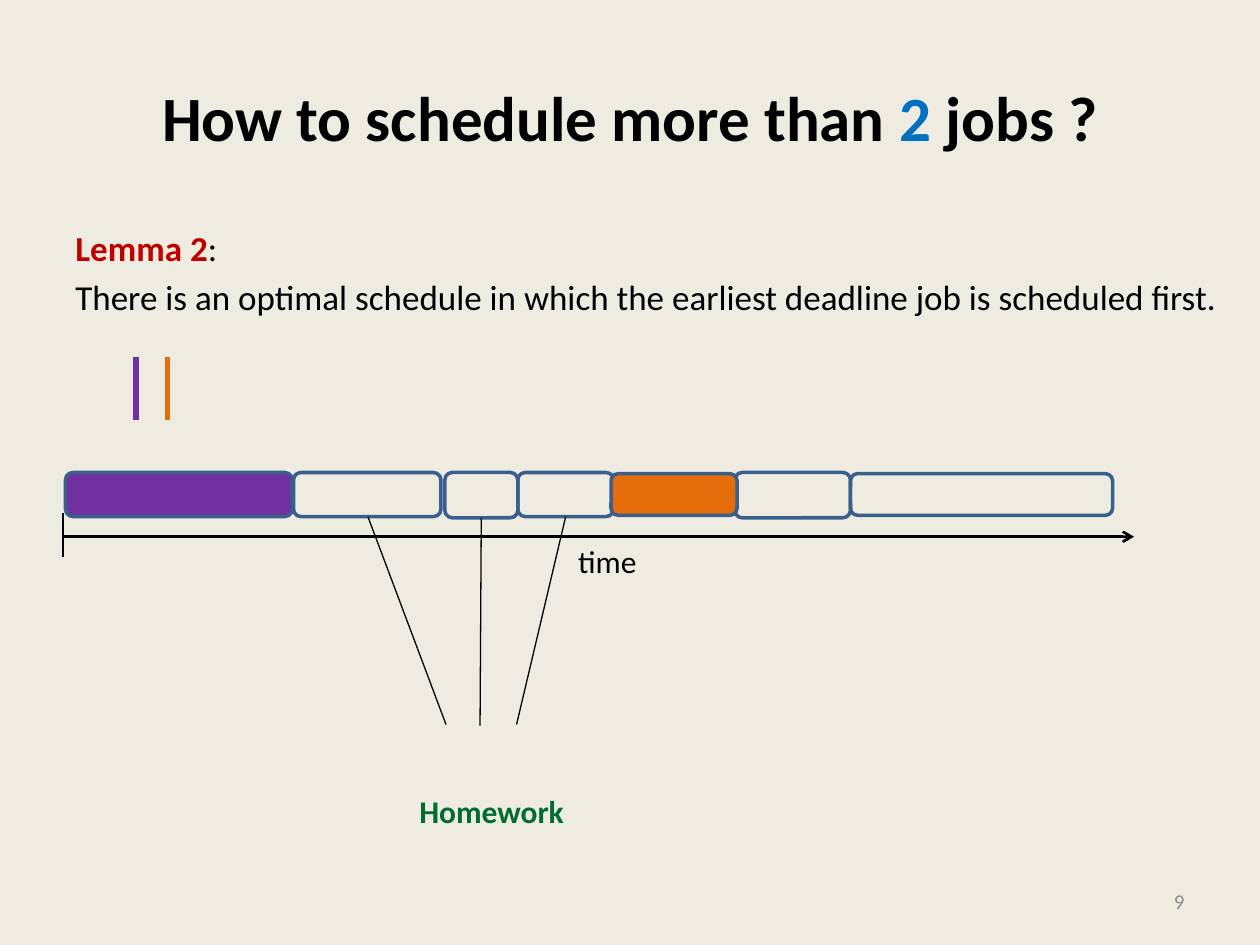
from lxml.etree import SubElement
from pptx import Presentation
from pptx.dml.color import RGBColor
from pptx.enum.shapes import MSO_CONNECTOR, MSO_SHAPE
from pptx.enum.text import MSO_ANCHOR, PP_ALIGN
from pptx.oxml.ns import qn
from pptx.util import Inches, Pt

BACKGROUND = RGBColor(0xEE, 0xEC, 0xE1)
BLACK = RGBColor(0x00, 0x00, 0x00)
BLUE = RGBColor(0x00, 0x70, 0xC0)
RED = RGBColor(0xC0, 0x00, 0x00)
GREEN = RGBColor(0x00, 0x6C, 0x31)
GRAY = RGBColor(0x8C, 0x8C, 0x8C)
PURPLE = RGBColor(0x70, 0x30, 0xA0)
ORANGE = RGBColor(0xE4, 0x6C, 0x0A)
OUTLINE = RGBColor(0x3A, 0x5F, 0x8C)

deck = Presentation()
deck.slide_width, deck.slide_height = Inches(10), Inches(7.5)
page = deck.slides.add_slide(deck.slide_layouts[6])
page.background.fill.solid()
page.background.fill.fore_color.rgb = BACKGROUND


def add_text(paragraphs, left, top, width, height, size=18, align=PP_ALIGN.LEFT,
             anchor=MSO_ANCHOR.TOP, wrap=True, space=0):
    """Add a text box; each paragraph is a list of (text, colour, bold) spans."""
    box = page.shapes.add_textbox(Inches(left), Inches(top), Inches(width), Inches(height))
    frame = box.text_frame
    frame.word_wrap = wrap
    frame.vertical_anchor = anchor
    for index, spans in enumerate(paragraphs):
        para = frame.add_paragraph() if index else frame.paragraphs[0]
        para.alignment = align
        if index:
            para.space_before = Pt(space)
        for text, color, bold in spans:
            span = para.add_run()
            span.text = text
            span.font.name = "Calibri"
            span.font.size = Pt(size)
            span.font.bold = bold
            span.font.color.rgb = color


def add_line(x1, y1, x2, y2, color=BLACK, width=0.75, arrow=False):
    """Add a straight line, with an open arrowhead at its end if asked."""
    line = page.shapes.add_connector(
        MSO_CONNECTOR.STRAIGHT, Inches(x1), Inches(y1), Inches(x2), Inches(y2))
    line.line.color.rgb = color
    line.line.width = Pt(width)
    if arrow:
        SubElement(line.line._get_or_add_ln(), qn("a:tailEnd"), type="arrow")
    SubElement(line._element.spPr, qn("a:effectLst"))


# Title, lemma and page number
add_text([[("How to schedule more than ", BLACK, True), ("2", BLUE, True),
           (" jobs ?", BLACK, True)]],
         0.5, 0.3, 9, 1.25, size=36, align=PP_ALIGN.CENTER, anchor=MSO_ANCHOR.MIDDLE)
add_text([[("Lemma 2", RED, True), (":", BLACK, False)],
          [("There is an optimal schedule in which the earliest deadline job "
            "is scheduled first.", BLACK, False)]],
         0.5, 1.75, 9.5, 4.95, size=20, space=4)
add_text([[("9", GRAY, False)]], 7.17, 6.95, 2.33, 0.4, size=12,
         align=PP_ALIGN.RIGHT, anchor=MSO_ANCHOR.MIDDLE)

# Scheduled jobs: left, top, width, height, fill
jobs = [
    (2.33, 3.75, 1.17, 0.35, None),
    (6.75, 3.76, 2.08, 0.33, None),
    (3.53, 3.75, 0.58, 0.36, None),
    (0.52, 3.75, 1.80, 0.35, PURPLE),
    (4.11, 3.75, 0.76, 0.35, None),
    (5.83, 3.75, 0.92, 0.36, None),
    (4.85, 3.76, 1.00, 0.33, ORANGE),
]
for left, top, width, height, color in jobs:
    job = page.shapes.add_shape(MSO_SHAPE.ROUNDED_RECTANGLE, Inches(left), Inches(top),
                                Inches(width), Inches(height))
    job.shadow.inherit = False
    job.line.color.rgb = OUTLINE
    job.line.width = Pt(2)
    if color is None:
        job.fill.background()
    else:
        job.fill.solid()
        job.fill.fore_color.rgb = color

# Time axis
add_line(0.5, 4.26, 9, 4.26, width=1.5, arrow=True)
add_line(0.5, 4.07, 0.5, 4.42, width=1.5)
add_text([[("time", BLACK, False)]], 4.49, 4.25, 0.67, 0.4, wrap=False)

# Deadlines of the two coloured jobs
for x, color in [(1.33, ORANGE), (1.08, PURPLE)]:
    add_line(x, 2.83, x, 3.33, color=color, width=3)

# Pointers from the jobs in between to the homework note
for x1, y1, x2, y2 in [(2.92, 4.1, 3.54, 5.75), (3.82, 4.11, 3.81, 5.76),
                       (4.49, 4.1, 4.1, 5.75)]:
    add_line(x1, y1, x2, y2)
add_text([[("Homework", GREEN, True)]], 3.23, 6.24, 1.36, 0.4, wrap=False)

deck.save("out.pptx")
